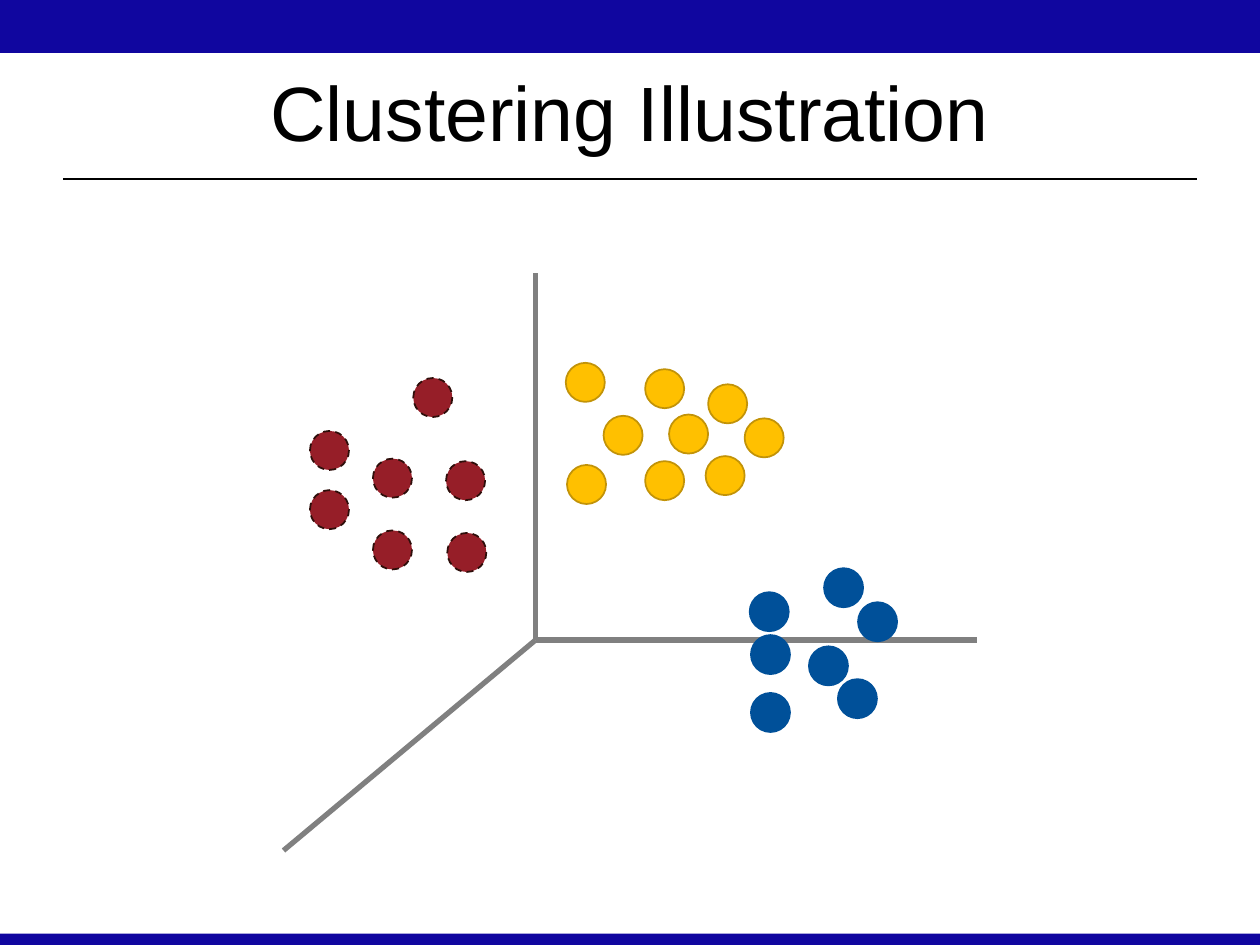
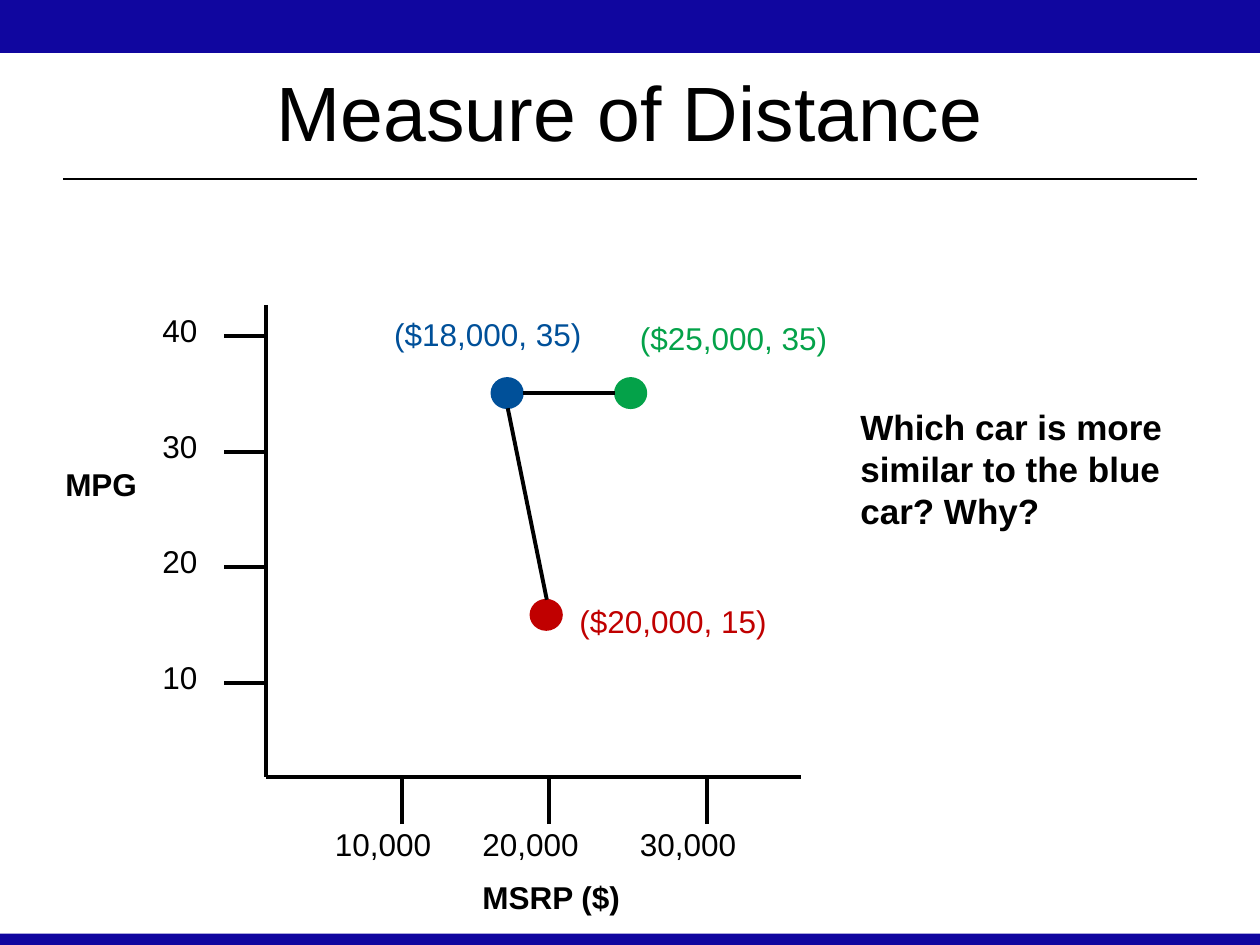
from dataclasses import dataclass

from lxml import etree
from pptx import Presentation
from pptx import util as u
from pptx.dml.color import RGBColor
from pptx.enum import dml, shapes, text
from pptx.oxml.ns import qn


@dataclass(frozen=True)
class Theme:
    font: str = "Arial"
    ink: str = "000000"
    band: str = "10069F"
    gray: str = "808080"
    blue: str = "005099"
    green: str = "04A249"
    red: str = "C00000"
    gold: str = "FFC000"
    gold_edge: str = "C29308"
    maroon: str = "961E28"
    maroon_edge: str = "2E0E0A"
    title_size: int = 44
    question_size: int = 20
    label_size: int = 18


class Deck:
    def __init__(self, theme):
        self.theme = theme
        self.prs = Presentation()
        self.prs.slide_width = u.Inches(10)
        self.prs.slide_height = u.Inches(7.5)
        self.canvas = None

    def new_slide(self, title):
        slide = self.prs.slides.add_slide(self.prs.slide_layouts[6])
        self.canvas = slide.shapes
        self.shape(shapes.MSO_SHAPE.RECTANGLE, 0, 0, 10, 0.42, self.theme.band)
        self.shape(shapes.MSO_SHAPE.RECTANGLE, 0, 7.41, 10, 0.09, self.theme.band)
        self.line((0.5, 1.42), (9.5, 1.42), self.theme.ink, 1.25)
        self.label(title, 0.5, 0.25, 9, 1.25, size=self.theme.title_size,
                   align=text.PP_ALIGN.CENTER, anchor=text.MSO_ANCHOR.MIDDLE)

    def start_group(self):
        self.canvas = self.canvas.add_group_shape().shapes

    def shape(self, preset, left, top, width, height, fill, edge=None, weight=1, dashed=False):
        drawn = self.canvas.add_shape(preset, u.Inches(left), u.Inches(top),
                                      u.Inches(width), u.Inches(height))
        drawn.shadow.inherit = False
        drawn.fill.solid()
        drawn.fill.fore_color.rgb = RGBColor.from_string(fill)
        if edge is None:
            drawn.line.fill.background()
            return
        drawn.line.color.rgb = RGBColor.from_string(edge)
        drawn.line.width = u.Pt(weight)
        if dashed:
            drawn.line.dash_style = dml.MSO_LINE.DASH

    def dot(self, left, top, width, height, fill, edge, **style):
        self.shape(shapes.MSO_SHAPE.OVAL, left, top, width, height, fill, edge, **style)

    def line(self, start, end, color, weight):
        drawn = self.canvas.add_connector(shapes.MSO_CONNECTOR.STRAIGHT,
                                          *(u.Inches(value) for value in (*start, *end)))
        drawn.line.color.rgb = RGBColor.from_string(color)
        drawn.line.width = u.Pt(weight)
        etree.SubElement(drawn._element.spPr, qn("a:effectLst"))

    def label(self, words, left, top, width, height, color=None, size=None, bold=False,
              align=text.PP_ALIGN.LEFT, anchor=text.MSO_ANCHOR.TOP):
        frame = self.canvas.add_textbox(u.Inches(left), u.Inches(top),
                                        u.Inches(width), u.Inches(height)).text_frame
        frame.word_wrap = True
        frame.vertical_anchor = anchor
        paragraph = frame.paragraphs[0]
        paragraph.alignment = align
        run = paragraph.add_run()
        run.text = words
        run.font.name = self.theme.font
        run.font.size = u.Pt(size or self.theme.label_size)
        run.font.bold = bold
        run.font.color.rgb = RGBColor.from_string(color or self.theme.ink)


def clustering_slide(deck):
    theme = deck.theme
    deck.new_slide("Clustering Illustration")
    deck.start_group()
    origin = (4.25, 5.08)
    for axis_end in ((4.25, 2.17), (2.25, 6.75), (7.75, 5.08)):
        deck.line(origin, axis_end, theme.gray, 3)

    blue_cluster = [(5.95, 4.7), (5.96, 5.04), (6.54, 4.51), (6.42, 5.13),
                    (6.81, 4.78), (5.96, 5.5), (6.65, 5.39)]
    maroon_cluster = [(2.46, 3.42), (2.46, 3.89), (2.96, 3.64), (3.54, 3.66),
                      (2.96, 4.21), (3.55, 4.23), (3.28, 3)]
    gold_cluster = [(4.49, 2.88), (4.5, 3.69), (4.79, 3.3), (5.12, 3.66), (5.12, 2.93),
                    (5.31, 3.29), (5.62, 3.05), (5.91, 3.32), (5.6, 3.62)]
    for cluster, fill, edge, dashed in (
        (blue_cluster, theme.blue, theme.blue, False),
        (maroon_cluster, theme.maroon, theme.maroon_edge, True),
        (gold_cluster, theme.gold, theme.gold_edge, False),
    ):
        for left, top in cluster:
            deck.dot(left, top, 0.31, 0.31, fill, edge, dashed=dashed)


def distance_slide(deck):
    theme = deck.theme
    deck.new_slide("Measure of Distance")
    axis_x, axis_y = 2.11, 6.17
    deck.line((axis_x, 2.42), (axis_x, axis_y), theme.ink, 2.25)
    deck.line((axis_x, axis_y), (6.36, axis_y), theme.ink, 2.25)
    deck.label("MPG", 0.42, 3.64, 0.9, 0.4, bold=True)
    deck.label("MSRP ($)", 3.73, 6.92, 1.52, 0.4, bold=True)

    mpg_step = 2.75 / 3
    for row, mpg in enumerate((40, 30, 20, 10)):
        tick_y = 2.67 + row * mpg_step
        deck.line((1.78, tick_y), (axis_x, tick_y), theme.ink, 2.25)
        deck.label(str(mpg), 1.19, tick_y - 0.25, 0.59, 0.5)
    for price, tick_x in ((10000, 3.19), (20000, 4.36), (30000, 5.61)):
        deck.line((tick_x, 6.54), (tick_x, axis_y), theme.ink, 2.25)
        deck.label(f"{price:,}", tick_x - 0.63, 6.5, 1.13, 0.5)

    for car, color, dot_at, label_at in (
        ("($25,000, 35)", theme.green, (4.88, 3), (4.98, 2.48)),
        ("($20,000, 15)", theme.red, (4.21, 4.76), (4.5, 4.73)),
        ("($18,000, 35)", theme.blue, (3.9, 3), (3.03, 2.45)),
    ):
        deck.dot(*dot_at, 0.25, 0.24, color, color)
        deck.label(car, *label_at, 1.75, 0.34, color=color)
    deck.line((4.03, 3.24), (4.34, 4.76), theme.ink, 2.25)
    deck.line((4.15, 3.12), (4.88, 3.12), theme.ink, 2.25)
    deck.label("Which car is more similar to the blue car? Why?", 6.73, 3.17, 3.14, 1.44,
               size=theme.question_size, bold=True)


def main():
    deck = Deck(Theme())
    clustering_slide(deck)
    distance_slide(deck)
    deck.prs.save("out.pptx")


if __name__ == "__main__":
    main()
